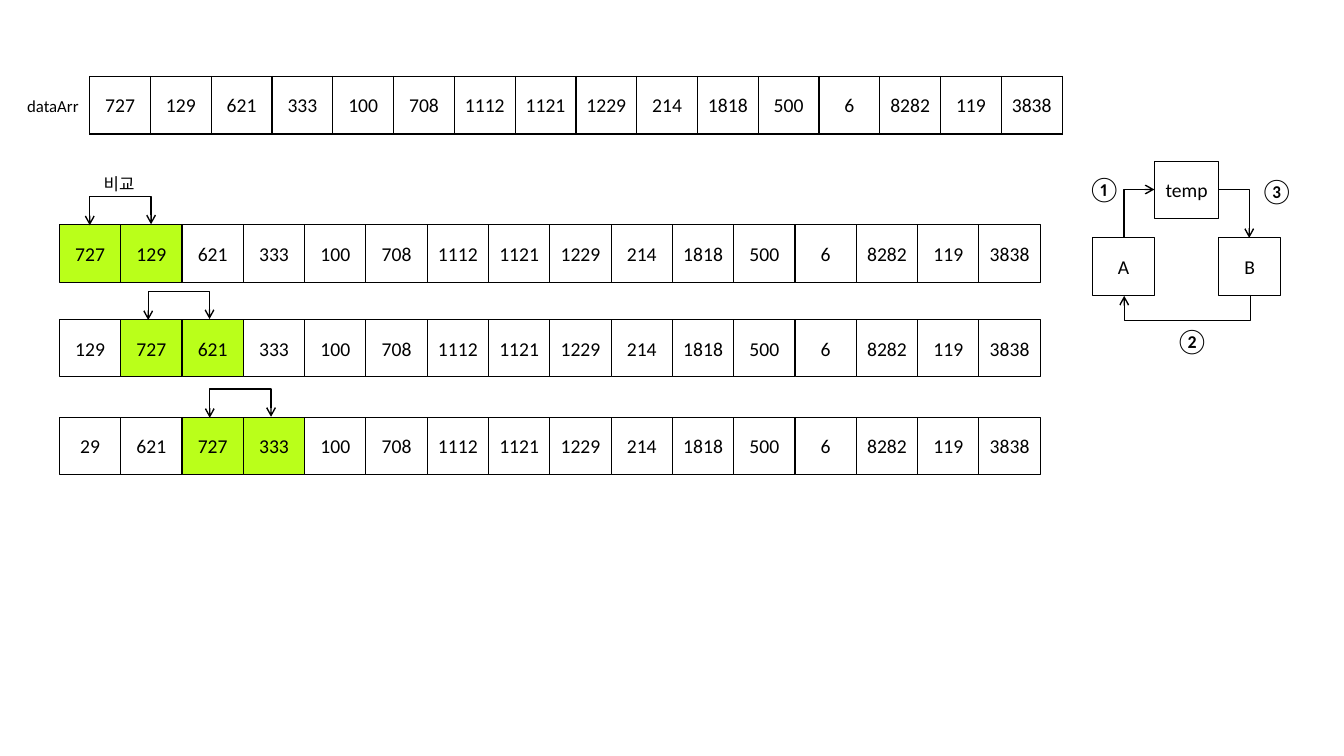
"""Build the slide that shows the first compare-and-swap steps of a bubble sort."""
from dataclasses import dataclass

from lxml import etree
from pptx import Presentation
from pptx import util as u
from pptx.dml.color import RGBColor
from pptx.enum import shapes, text
from pptx.oxml import ns
from pptx.util import Inches


@dataclass(frozen=True)
class Theme:
    ink: RGBColor = RGBColor(0, 0, 0)
    paper: RGBColor = RGBColor(255, 255, 255)
    highlight: RGBColor = RGBColor(0xBA, 0xFF, 0x1A)
    font: str = "Calibri"
    label_size: int = 12
    cell_size: int = 14
    step_size: int = 18
    outline: float = 0.75
    stroke: float = 1


@dataclass(frozen=True)
class Area:
    left: float
    top: float
    width: float
    height: float


@dataclass(frozen=True)
class Box:
    text: str
    area: Area
    fill: RGBColor


@dataclass(frozen=True)
class Label:
    text: str
    area: Area
    size: int


@dataclass(frozen=True)
class Elbow:
    area: Area
    rotation: int
    preset: str
    both_ends: bool = False
    bend: float | None = None


@dataclass(frozen=True)
class SortPass:
    top: float
    first_values: tuple[str, ...]
    compared: int
    arrow_left: float


THEME = Theme()
CELL_WIDTH, CELL_HEIGHT = 0.608, 0.57
ROW_LEFT = 0.59
BEND_THICKNESS = 0.01
COMPARE_RISE = 0.28
RETURN_DROP = 0.26
VALUES = ("727", "129", "621", "333", "100", "708", "1112", "1121",
          "1229", "214", "1818", "500", "6", "8282", "119", "3838")
PASSES = (
    SortPass(2.23, ("727", "129", "621", "333"), 0, 0.89),
    SortPass(3.17, ("129", "727", "621", "333"), 1, 1.47),
    SortPass(4.14, ("29", "621", "727", "333"), 2, 2.08),
)
SWAP_BOXES = (
    Box("A", Area(10.84, 2.36, CELL_WIDTH, CELL_HEIGHT), THEME.paper),
    Box("temp", Area(11.45, 1.6, 0.64, CELL_HEIGHT), THEME.paper),
    Box("B", Area(12.09, 2.36, CELL_WIDTH, CELL_HEIGHT), THEME.paper),
)
LABELS = (
    Label("dataArr", Area(0.17, 0.9, 0.72, 0.29), THEME.label_size),
    Label("비교", Area(0.93, 1.67, 0.54, 0.29), THEME.label_size),
    Label("①", Area(10.69, 1.67, 0.46, 0.4), THEME.step_size),
    Label("②", Area(11.56, 3.18, 0.46, 0.4), THEME.step_size),
    Label("③", Area(12.4, 1.69, 0.46, 0.4), THEME.step_size),
)


def place(area: Area) -> tuple[u.Length, ...]:
    """Give left, top, width and height as lengths."""
    return tuple(Inches(value) for value in (area.left, area.top, area.width, area.height))


def write(frame, words: str, size: int, alignment) -> None:
    """Write one paragraph in the theme font."""
    paragraph = frame.paragraphs[0]
    paragraph.text = words
    paragraph.alignment = alignment
    paragraph.font.name = THEME.font
    paragraph.font.size = u.Pt(size)
    paragraph.font.color.rgb = THEME.ink


def draw_box(slide, box: Box) -> None:
    """Draw an outlined rectangle with a centred value."""
    shape = slide.shapes.add_shape(shapes.MSO_SHAPE.RECTANGLE, *place(box.area))
    shape.shadow.inherit = False
    shape.fill.solid()
    shape.fill.fore_color.rgb = box.fill
    shape.line.color.rgb = THEME.ink
    shape.line.width = u.Pt(THEME.outline)
    frame = shape.text_frame
    frame.margin_left = frame.margin_right = 0
    frame.vertical_anchor = text.MSO_ANCHOR.MIDDLE
    write(frame, box.text, THEME.cell_size, text.PP_ALIGN.CENTER)


def draw_label(slide, label: Label) -> None:
    """Draw a free text label."""
    frame = slide.shapes.add_textbox(*place(label.area)).text_frame
    frame.word_wrap = False
    frame.auto_size = text.MSO_AUTO_SIZE.SHAPE_TO_FIT_TEXT
    write(frame, label.text, label.size, text.PP_ALIGN.LEFT)


def draw_elbow(slide, elbow: Elbow) -> None:
    """Draw a bent connector with open arrowheads."""
    left, top, width, height = place(elbow.area)
    connector = slide.shapes.add_connector(
        shapes.MSO_CONNECTOR.ELBOW, left, top, left + width, top + height)
    connector.line.color.rgb = THEME.ink
    connector.line.width = u.Pt(THEME.stroke)
    properties = connector._element.spPr
    properties.find(ns.qn("a:xfrm")).set("rot", str(elbow.rotation * 60000))
    geometry = properties.find(ns.qn("a:prstGeom"))
    geometry.set("prst", elbow.preset)
    if elbow.bend is not None:
        ratio = round(elbow.bend / elbow.area.width * 100000)
        guides = geometry.find(ns.qn("a:avLst"))
        etree.SubElement(guides, ns.qn("a:gd"), name="adj1", fmla=f"val {ratio}")
    line = properties.find(ns.qn("a:ln"))
    for end in ("headEnd", "tailEnd") if elbow.both_ends else ("tailEnd",):
        etree.SubElement(line, ns.qn(f"a:{end}"), type="arrow")
    etree.SubElement(properties, ns.qn("a:effectLst"))


def bracket(left: float, top: float, span: float, bend: float, both_ends: bool) -> Elbow:
    """Make a U-shaped connector that joins two points at one height."""
    area = Area(left + (span - BEND_THICKNESS) / 2, top - span / 2, BEND_THICKNESS, span)
    return Elbow(area, 90, "bentConnector3", both_ends, bend)


def draw_border(cell) -> None:
    """Outline all four sides of a table cell."""
    properties = cell._tc.get_or_add_tcPr()
    for position, side in enumerate(("lnL", "lnR", "lnT", "lnB")):
        line = etree.Element(ns.qn(f"a:{side}"), w=str(u.Pt(THEME.stroke)))
        fill = etree.SubElement(line, ns.qn("a:solidFill"))
        etree.SubElement(fill, ns.qn("a:srgbClr"), val=str(THEME.ink))
        properties.insert(position, line)


def draw_array(slide, area: Area) -> None:
    """Draw the data array as a one-row table."""
    table = slide.shapes.add_table(1, len(VALUES), *place(area)).table
    table.first_row = table.horz_banding = False
    for column, value in enumerate(VALUES):
        table.columns[column].width = Inches(area.width / len(VALUES))
        cell = table.cell(0, column)
        cell.margin_left = cell.margin_right = 0
        cell.vertical_anchor = text.MSO_ANCHOR.MIDDLE
        cell.fill.solid()
        cell.fill.fore_color.rgb = THEME.paper
        write(cell.text_frame, value, THEME.cell_size, text.PP_ALIGN.CENTER)
        draw_border(cell)


def draw_pass(slide, step: SortPass) -> None:
    """Draw one sorting step with its compared pair."""
    values = step.first_values + VALUES[len(step.first_values):]
    for index, value in enumerate(values):
        compared = index in (step.compared, step.compared + 1)
        area = Area(ROW_LEFT + index * CELL_WIDTH, step.top, CELL_WIDTH, CELL_HEIGHT)
        draw_box(slide, Box(value, area, THEME.highlight if compared else THEME.paper))
    draw_elbow(slide, bracket(step.arrow_left, step.top, CELL_WIDTH, -COMPARE_RISE, True))


def main() -> None:
    """Build and save the slide."""
    presentation = Presentation()
    presentation.slide_width, presentation.slide_height = Inches(13.33), Inches(7.5)
    slide = presentation.slides.add_slide(presentation.slide_layouts[6])
    draw_array(slide, Area(0.89, 0.76, 9.65, CELL_HEIGHT))
    for step in PASSES:
        draw_pass(slide, step)
    for box in SWAP_BOXES:
        draw_box(slide, box)
    draw_elbow(slide, Elbow(Area(11.06, 1.97, 0.48, 0.3), 270, "bentConnector2"))
    draw_elbow(slide, bracket(11.15, 2.93, 1.25, RETURN_DROP, False))
    draw_elbow(slide, Elbow(Area(12.09, 1.88, 0.3, 0.48), 0, "bentConnector2"))
    for label in LABELS:
        draw_label(slide, label)
    presentation.save("out.pptx")


main()
